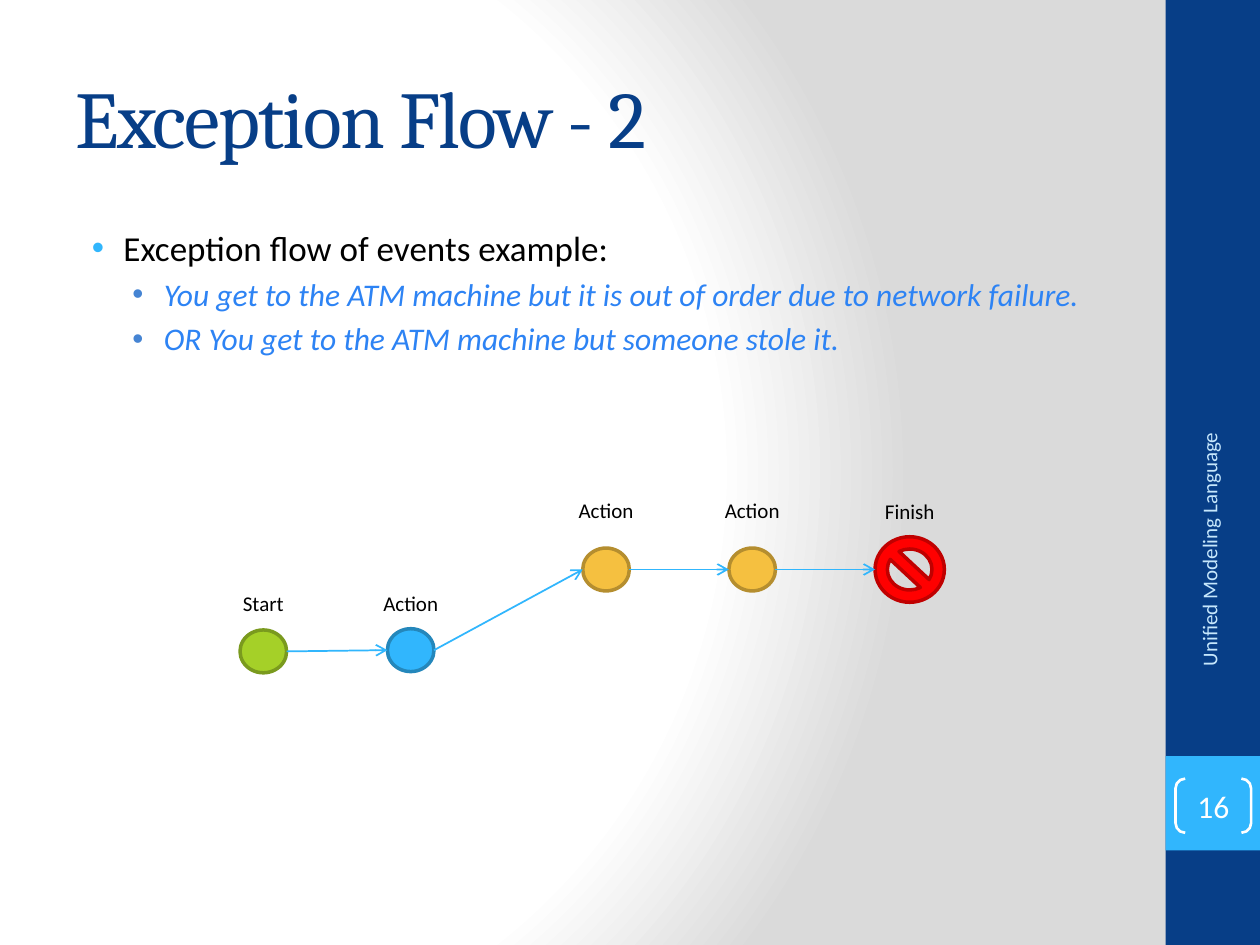
from itertools import pairwise

from lxml import etree
from pptx import Presentation
from pptx.dml.color import RGBColor
from pptx.enum.shapes import MSO_CONNECTOR as Connector, MSO_SHAPE as Shape
from pptx.enum.text import MSO_ANCHOR as Anchor, MSO_AUTO_SIZE as AutoSize, PP_ALIGN as Align
from pptx.oxml import parse_xml
from pptx.oxml.ns import nsdecls, qn
from pptx.util import Inches, Pt

# Content
TITLE = "Exception Flow - 2"
BULLETS = [
    (0, "Exception flow of events example: "),
    (1, "You get to the ATM machine but it is out of order due to network failure."),
    (1, "OR You get to the ATM machine but someone stole it."),
]
FOOTER = "Unified Modeling Language"
PAGE = "16"
# label, style, centre x, centre y, label top, label width
STEPS = [
    ("Start", "start", 2.09, 5.17, 4.64, 0.56),
    ("Action", "main", 3.26, 5.16, 4.64, 0.65),
    ("Action", "exception", 4.81, 4.52, 3.90, 0.65),
    ("Action", "exception", 5.97, 4.52, 3.90, 0.65),
    ("Finish", "finish", 7.22, 4.52, 3.91, 0.59),
]

# Theme
THEME = {
    "heading": "Cambria", "body": "Calibri",
    "navy": "073E87", "sky": "31B6FD", "pale": "C6E7FC",
    "white": "FFFFFF", "black": "000000", "grey": "DADADA",
    "title_size": 46, "page_size": 18, "small_size": 12,
}
# size, colour, italic, bullet colour, left margin
LEVELS = [
    (20, "000000", False, "31B6FD", 0.38),
    (18, "2D83F4", True, "4584D3", 0.70),
]
# preset, fill, outline, width, height
NODES = {
    "start": (Shape.OVAL, "A5D028", "7A9A1E", 0.37, 0.34),
    "main": (Shape.OVAL, "31B6FD", "2487BB", 0.37, 0.34),
    "exception": (Shape.OVAL, "F5C040", "B58E2F", 0.37, 0.34),
    "finish": (Shape.NO_SYMBOL, "FF0000", "C00000", 0.55, 0.52),
}


def box(left, top, width, height):
    return [Inches(value) for value in (left, top, width, height)]


def place(shape, *bounds):
    shape.left, shape.top, shape.width, shape.height = box(*bounds)


def style_font(font, size, color, name=THEME["body"], italic=False):
    font.size, font.name, font.italic = Pt(size), name, italic
    font.color.rgb = RGBColor.from_string(color)


def add_shape(preset, bounds, fill=None, line=None, line_width=2):
    shape = slide.shapes.add_shape(preset, *box(*bounds))
    shape.shadow.inherit = False
    if fill:
        shape.fill.solid()
        shape.fill.fore_color.rgb = RGBColor.from_string(fill)
    else:
        shape.fill.background()
    if line:
        shape.line.color.rgb = RGBColor.from_string(line)
        shape.line.width = Pt(line_width)
    else:
        shape.line.fill.background()
    return shape


def write(shape, text, size, color, align=Align.CENTER, anchor=Anchor.MIDDLE):
    frame = shape.text_frame
    frame.vertical_anchor = anchor
    paragraph = frame.paragraphs[0]
    paragraph.text, paragraph.alignment = text, align
    style_font(paragraph.font, size, color)
    return frame


def add_arrow(start, end):
    arrow = slide.shapes.add_connector(
        Connector.STRAIGHT, *[Inches(value) for value in (*start, *end)])
    arrow.line.color.rgb = RGBColor.from_string(THEME["sky"])
    arrow.line.width = Pt(1)
    etree.SubElement(arrow.line._get_or_add_ln(), qn("a:tailEnd"), type="arrow")
    etree.SubElement(arrow._element.spPr, qn("a:effectLst"))


presentation = Presentation()
presentation.slide_width, presentation.slide_height = Inches(10), Inches(7.5)
slide = presentation.slides.add_slide(presentation.slide_layouts[1])

# Background: radial gradient
slide.background.fill.solid()
background = slide.element.find(".//" + qn("p:bgPr"))
stops = "".join(
    f'<a:gs pos="{percent * 1000}"><a:srgbClr val="{THEME[color]}"/></a:gs>'
    for percent, color in [(0, "white"), (75, "white"), (100, "grey")])
background.replace(background[0], parse_xml(
    f'<a:gradFill {nsdecls("a")} rotWithShape="1"><a:gsLst>{stops}</a:gsLst>'
    '<a:path path="circle"><a:fillToRect l="20000" t="50000" r="100000" b="50000"/>'
    '</a:path></a:gradFill>'))

# Side band
add_shape(Shape.RECTANGLE, (9.25, 0, 0.75, 7.5), THEME["navy"])
add_shape(Shape.RECTANGLE, (9.25, 6, 0.75, 0.75), THEME["sky"])

# Title
title = slide.shapes.title
place(title, 0.5, 0.3, 8.33, 1.25)
title.text_frame.auto_size = AutoSize.NONE
title.text_frame.vertical_anchor = Anchor.MIDDLE
paragraph = title.text_frame.paragraphs[0]
paragraph.text, paragraph.alignment = TITLE, Align.LEFT
style_font(paragraph.font, THEME["title_size"], THEME["navy"], THEME["heading"])
paragraph.runs[0]._r.get_or_add_rPr().set("spc", "-100")

# Bullet list
body = slide.placeholders[1]
place(body, 0.5, 1.75, 8.33, 5.25)
frame = body.text_frame
frame.auto_size = AutoSize.NONE
for index, (level, text) in enumerate(BULLETS):
    paragraph = frame.add_paragraph() if index else frame.paragraphs[0]
    size, color, italic, bullet_color, margin = LEVELS[level]
    paragraph.text, paragraph.level, paragraph.alignment = text, level, Align.JUSTIFY
    style_font(paragraph.font, size, color, italic=italic)
    properties = paragraph._p.get_or_add_pPr()
    properties.set("marL", str(Inches(margin)))
    properties.set("indent", str(Inches(-0.25)))
    bullet = [
        f'<a:buClr {nsdecls("a")}><a:srgbClr val="{bullet_color}"/></a:buClr>',
        f'<a:buFont {nsdecls("a")} typeface="Arial"/>',
        f'<a:buChar {nsdecls("a")} char="•"/>',
    ]
    for position, xml in enumerate(bullet):
        properties.insert(position, parse_xml(xml))

# Footer and page number
footer = slide.shapes.add_textbox(*box(8.3, 4.43, 2.59, 0.4))
footer.rotation = 270
write(footer, FOOTER, THEME["small_size"], THEME["pale"], Align.RIGHT).word_wrap = True
page = add_shape(Shape.DOUBLE_BRACKET, (9.33, 6.18, 0.6, 0.43),
                 line=THEME["white"], line_width=1.5)
page.adjustments[0] = 0.179
frame = write(page, PAGE, THEME["page_size"], THEME["white"])
frame.margin_left = frame.margin_right = frame.margin_top = frame.margin_bottom = 0

# Flow: nodes with centred labels, then arrows from edge to edge
for label, style, x, y, label_top, label_width in STEPS:
    preset, fill, line, width, height = NODES[style]
    add_shape(preset, (x - width / 2, y - height / 2, width, height), fill, line)
    caption = slide.shapes.add_textbox(
        *box(x - label_width / 2, label_top, label_width, 0.3))
    write(caption, label, THEME["small_size"], THEME["black"],
          anchor=Anchor.TOP).word_wrap = False

for (_, style, x, y, *_), (_, next_style, next_x, next_y, *_) in pairwise(STEPS):
    add_arrow((x + NODES[style][3] / 2, y), (next_x - NODES[next_style][3] / 2, next_y))

presentation.save("out.pptx")
